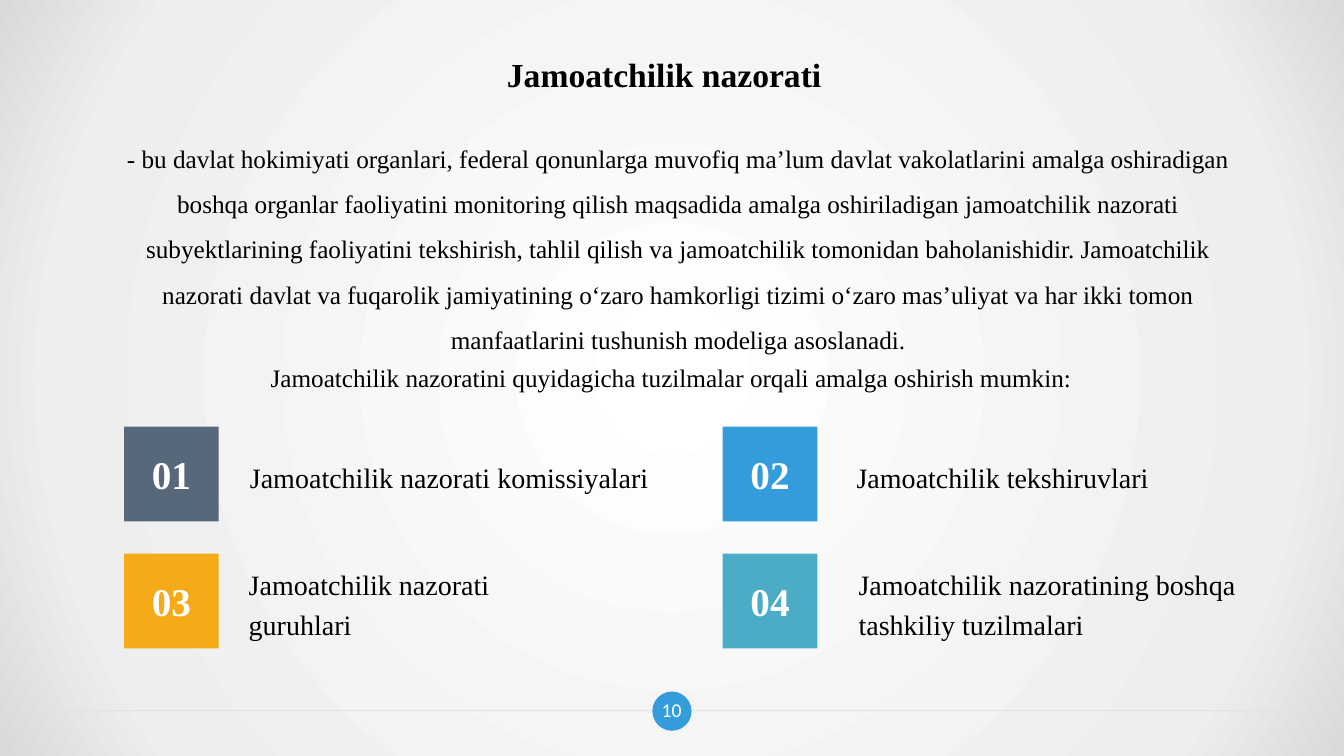
from dataclasses import dataclass

from lxml.etree import SubElement
from pptx import Presentation
from pptx.dml.color import RGBColor
from pptx.enum.shapes import MSO_CONNECTOR, MSO_SHAPE
from pptx.enum.text import MSO_ANCHOR, PP_ALIGN
from pptx.oxml import parse_xml
from pptx.oxml.ns import nsdecls, qn
from pptx.shapes.autoshape import Shape
from pptx.slide import Slide
from pptx.util import Pt


@dataclass(frozen=True)
class Theme:
    serif: str = "Times New Roman"
    sans: str = "Calibri"
    ink: str = "000000"
    white: str = "FFFFFF"
    rule: str = "D9D9D9"
    slate: str = "57687B"
    blue: str = "359CDB"
    amber: str = "F4AB17"
    teal: str = "4BACC6"
    background: tuple = ((0, "FFFFFF"), (81, "EEEEEE"), (100, "D9D9D9"))
    heading_size: float = 24
    body_size: float = 18
    label_size: float = 20
    tile_size: float = 28
    page_number_size: float = 14


@dataclass(frozen=True)
class Area:
    left: float
    top: float
    width: float
    height: float


@dataclass(frozen=True)
class Style:
    size: float
    color: str
    font: str = Theme.serif
    bold: bool = False
    align: PP_ALIGN = PP_ALIGN.LEFT
    anchor: MSO_ANCHOR = MSO_ANCHOR.MIDDLE
    spacing: float = 1.0
    inset_x: float = 7.2
    inset_y: float = 3.6


@dataclass(frozen=True)
class Structure:
    label: str
    color: str
    label_left: float
    label_width: float
    label_height: float


THEME = Theme()
PAGE_WIDTH, PAGE_HEIGHT = 960, 540
TILE_SIDE = 67.7
COLUMN_LEFTS = (88.6, 516.2)
FIRST_ROW_TOP, ROW_PITCH = 304.8, 90.7

STRUCTURES = (
    Structure("Jamoatchilik nazorati komissiyalari", THEME.slate, 171.4, 301.7, 33.8),
    Structure("Jamoatchilik tekshiruvlari", THEME.blue, 604.8, 225.4, 33.8),
    Structure("Jamoatchilik nazorati guruhlari", THEME.amber, 170.6, 263.5, 62.6),
    Structure("Jamoatchilik nazoratining boshqa tashkiliy tuzilmalari",
              THEME.teal, 606.2, 296.6, 62.6),
)

HEADING = "Jamoatchilik nazorati"
DEFINITION = (
    "- bu davlat hokimiyati organlari, federal qonunlarga muvofiq ma’lum davlat "
    "vakolatlarini amalga oshiradigan boshqa organlar faoliyatini monitoring qilish "
    "maqsadida amalga oshiriladigan jamoatchilik nazorati subyektlarining faoliyatini "
    "tekshirish, tahlil qilish va jamoatchilik tomonidan baholanishidir. Jamoatchilik "
    "nazorati davlat va fuqarolik jamiyatining o‘zaro hamkorligi tizimi o‘zaro "
    "mas’uliyat va har ikki tomon manfaatlarini tushunish modeliga asoslanadi."
)
INTRODUCTION = "Jamoatchilik nazoratini quyidagicha tuzilmalar orqali amalga oshirish mumkin:"


def write_text(box: Shape, text: str, style: Style) -> None:
    frame = box.text_frame
    frame.word_wrap = True
    frame.vertical_anchor = style.anchor
    frame.margin_left = frame.margin_right = Pt(style.inset_x)
    frame.margin_top = frame.margin_bottom = Pt(style.inset_y)
    para = frame.paragraphs[0]
    para.alignment = style.align
    para.line_spacing = style.spacing
    span = para.add_run()
    span.text = text
    span.font.name = style.font
    span.font.size = Pt(style.size)
    span.font.bold = style.bold
    span.font.color.rgb = RGBColor.from_string(style.color)


def add_text(page: Slide, area: Area, text: str, style: Style) -> None:
    box = page.shapes.add_textbox(Pt(area.left), Pt(area.top), Pt(area.width), Pt(area.height))
    write_text(box, text, style)


def add_filled(page: Slide, kind: MSO_SHAPE, area: Area, color: str) -> Shape:
    shape = page.shapes.add_shape(
        kind, Pt(area.left), Pt(area.top), Pt(area.width), Pt(area.height))
    shape.shadow.inherit = False
    shape.fill.solid()
    shape.fill.fore_color.rgb = RGBColor.from_string(color)
    shape.line.fill.background()
    return shape


def paint_background(page: Slide) -> None:
    stops = "".join(
        f'<a:gs pos="{position * 1000}"><a:srgbClr val="{color}"/></a:gs>'
        for position, color in THEME.background)
    background = parse_xml(
        f'<p:bg {nsdecls("p", "a")}><p:bgPr><a:gradFill rotWithShape="1">'
        f'<a:gsLst>{stops}</a:gsLst><a:path path="circle">'
        '<a:fillToRect l="50000" t="50000" r="50000" b="50000"/></a:path>'
        '</a:gradFill><a:effectLst/></p:bgPr></p:bg>')
    page.element.cSld.insert(0, background)


def add_footer(page: Slide) -> None:
    # Half-transparent rule
    rule = page.shapes.add_connector(
        MSO_CONNECTOR.STRAIGHT, Pt(48.2), Pt(507.6), Pt(911.5), Pt(507.6))
    rule.line.width = Pt(0.75)
    rule.line.color.rgb = RGBColor.from_string(THEME.rule)
    properties = rule.element.spPr
    color = properties.find(".//" + qn("a:srgbClr"))
    SubElement(color, qn("a:alpha")).set("val", "50000")
    SubElement(properties, qn("a:effectLst"))
    # Page number on its disc
    add_filled(page, MSO_SHAPE.OVAL, Area(466, 494, 28, 28), THEME.blue)
    add_text(page, Area(459.5, 492, 40.5, 30), "10",
             Style(THEME.page_number_size, THEME.white, THEME.sans,
                   align=PP_ALIGN.CENTER, inset_x=9.6, inset_y=4.8))


def add_structure(page: Slide, index: int, structure: Structure) -> None:
    row, column = divmod(index, len(COLUMN_LEFTS))
    top = FIRST_ROW_TOP + row * ROW_PITCH
    tile = add_filled(page, MSO_SHAPE.RECTANGLE,
                      Area(COLUMN_LEFTS[column], top, TILE_SIDE, TILE_SIDE), structure.color)
    write_text(tile, f"{index + 1:02d}",
               Style(THEME.tile_size, THEME.white, bold=True, align=PP_ALIGN.CENTER))
    label_top = top + (TILE_SIDE - structure.label_height) / 2
    add_text(page,
             Area(structure.label_left, label_top, structure.label_width, structure.label_height),
             structure.label, Style(THEME.label_size, THEME.ink, spacing=1.2))


def main() -> None:
    deck = Presentation()
    deck.slide_width, deck.slide_height = Pt(PAGE_WIDTH), Pt(PAGE_HEIGHT)
    page = deck.slides.add_slide(deck.slide_layouts[6])
    paint_background(page)
    add_footer(page)

    # Heading, definition and introduction
    add_text(page, Area(355, 35.3, 249, 36), HEADING,
             Style(THEME.heading_size, THEME.ink, bold=True, anchor=MSO_ANCHOR.TOP))
    add_text(page, Area(66.2, 87.8, 836.6, 167), DEFINITION,
             Style(THEME.body_size, THEME.ink, align=PP_ALIGN.CENTER,
                   anchor=MSO_ANCHOR.TOP, spacing=1.5))
    add_text(page, Area(170.6, 257.8, 617.8, 23.8), INTRODUCTION,
             Style(THEME.body_size, THEME.ink, align=PP_ALIGN.CENTER,
                   inset_x=9.6, inset_y=4.8))

    # Numbered structures in a two-column grid
    for index, structure in enumerate(STRUCTURES):
        add_structure(page, index, structure)

    deck.save("out.pptx")


if __name__ == "__main__":
    main()
